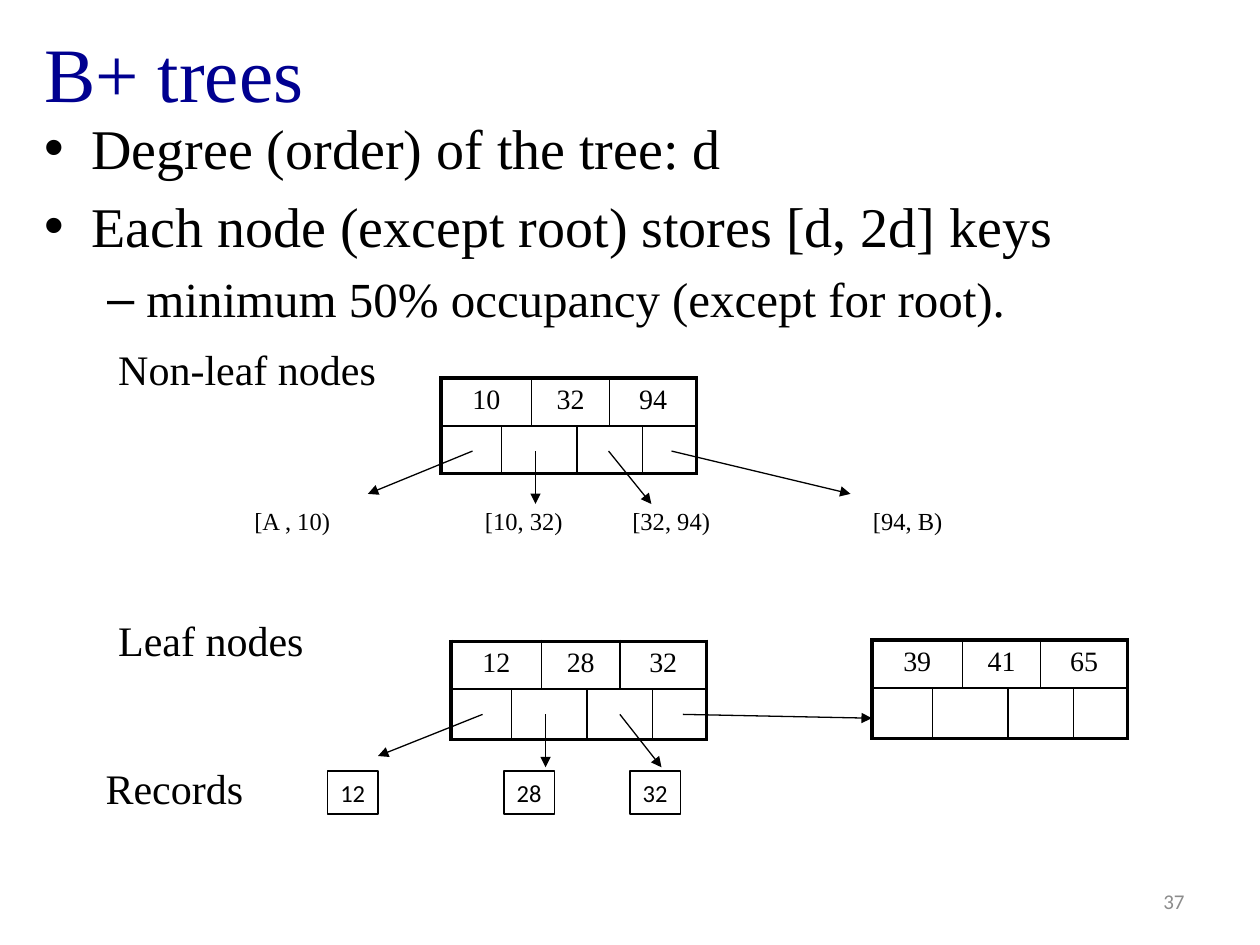
from pptx import Presentation
from pptx.dml.color import RGBColor
from pptx.enum.shapes import MSO_CONNECTOR, MSO_SHAPE
from pptx.enum.text import MSO_ANCHOR, MSO_AUTO_SIZE, PP_ALIGN
from pptx.oxml import parse_xml
from pptx.oxml.ns import nsdecls, qn
from pptx.util import Inches, Pt
from lxml import etree

STRAIGHT, RECTANGLE = MSO_CONNECTOR.STRAIGHT, MSO_SHAPE.RECTANGLE
TOP, MIDDLE = MSO_ANCHOR.TOP, MSO_ANCHOR.MIDDLE
LEFT, CENTER, RIGHT = PP_ALIGN.LEFT, PP_ALIGN.CENTER, PP_ALIGN.RIGHT
NO_AUTOFIT = MSO_AUTO_SIZE.NONE
SERIF, SANS = "Times New Roman", "Calibri"
BLACK, NAVY, GRAY = "000000", "000090", "8C8C8C"
THIN, THICK = 1, 2.25

# Content: lengths in inches, sizes in points
TITLE = "B+ trees"
BULLETS = [  # text, level, size
    ("Degree (order) of the tree: d", 0, 32),
    ("Each node (except root) stores [d, 2d] keys", 0, 32),
    ("minimum 50% occupancy (except for root).", 1, 28),
]
NODES = [  # left, top, pointer row height, keys
    (3.5, 3, 0.38, ("10", "32", "94")),
    (3.58, 5.09, 0.4, ("12", "28", "32")),
    (6.92, 5.08, 0.4, ("39", "41", "65")),
]
COLUMN_WIDTHS = (0.48, 0.21, 0.36, 0.26, 0.26, 0.43)
KEY_ROW_HEIGHT = 0.38
KEY_SPANS = ((0, 1), (2, 3), (4, 5))  # first and last column
POINTER_SPANS = ((0, 0), (1, 2), (3, 4), (5, 5))
ARROWS = [  # start x, start y, end x, end y
    (3.75, 3.58, 2.92, 3.92),
    (4.25, 3.58, 4.25, 4),
    (4.83, 3.58, 5.17, 4),
    (5.33, 3.58, 6.75, 3.92),
    (3.83, 5.67, 3, 6),
    (4.33, 5.67, 4.33, 6.09),
    (4.92, 5.67, 5.25, 6.09),
    (5.42, 5.67, 6.92, 5.7),
]
HEADINGS = [  # text, left, top, width
    ("Non-leaf nodes", 0.84, 2.68, 2.66),
    ("Leaf nodes", 0.84, 4.83, 2.66),
    ("Records", 0.74, 6, 1.86),
]
RANGES = [  # text, left, width
    ("[A , 10)", 1.92, 0.81),
    ("[10, 32)", 3.75, 0.82),
    ("[32, 94)", 4.92, 0.82),
    ("[94, B)", 6.83, 0.76),
]
RECORDS = [("12", 2.6), ("28", 4), ("32", 5)]  # text, left
SLIDE_NUMBER = "37"


def color(value):
    return RGBColor.from_string(value)


def box(left, top, width, height):
    return [Inches(length) for length in (left, top, width, height)]


def place(shape, *lengths):
    shape.left, shape.top, shape.width, shape.height = box(*lengths)


def add_run(paragraph, text, size, font=SERIF, fill=BLACK, align=LEFT):
    paragraph.alignment = align
    run = paragraph.add_run()
    run.text = text
    run.font.size = Pt(size)
    run.font.name = font
    run.font.color.rgb = color(fill)


def add_label(text, lengths, size, wrap=True, anchor=TOP, **style):
    frame = slide.shapes.add_textbox(*box(*lengths)).text_frame
    frame.word_wrap = wrap
    frame.vertical_anchor = anchor
    add_run(frame.paragraphs[0], text, size, **style)


def set_borders(cell, widths):
    properties = cell._tc.get_or_add_tcPr()
    for index, (side, width) in enumerate(zip("LRTB", widths)):
        properties.insert(index, parse_xml(
            f'<a:ln{side} {nsdecls("a")} w="{Pt(width)}"><a:solidFill>'
            f'<a:srgbClr val="{BLACK}"/></a:solidFill></a:ln{side}>'))


def add_node(left, top, pointer_height, keys):
    heights = (KEY_ROW_HEIGHT, pointer_height)
    lengths = box(left, top, sum(COLUMN_WIDTHS), sum(heights))
    table = slide.shapes.add_table(2, len(COLUMN_WIDTHS), *lengths).table
    table.first_row = table.horz_banding = False
    for column, width in zip(table.columns, COLUMN_WIDTHS):
        column.width = Inches(width)
    for row, height in zip(table.rows, heights):
        row.height = Inches(height)
    for row, spans in enumerate((KEY_SPANS, POINTER_SPANS)):
        for first, last in spans:
            widths = (THICK if first == 0 else THIN,
                      THICK if last == len(COLUMN_WIDTHS) - 1 else THIN,
                      THICK if row == 0 else THIN,
                      THICK if row == 1 else THIN)
            for column in range(first, last + 1):
                cell = table.cell(row, column)
                cell.fill.background()
                cell.margin_top = cell.margin_bottom = Inches(0.05 if row == 0 else 0.02)
                set_borders(cell, widths)
            if last > first:
                table.cell(row, first).merge(table.cell(row, last))
    for (first, _), key in zip(KEY_SPANS, keys):
        add_run(table.cell(0, first).text_frame.paragraphs[0], key, 16, align=CENTER)


def add_arrow(*ends):
    arrow = slide.shapes.add_connector(STRAIGHT, *box(*ends))
    arrow.line.color.rgb = color(BLACK)
    arrow.line.width = Pt(0.75)
    etree.SubElement(arrow.line._get_or_add_ln(), qn("a:tailEnd"), type="triangle")
    etree.SubElement(arrow._element.spPr, qn("a:effectLst"))


def add_record(text, left):
    record = slide.shapes.add_shape(RECTANGLE, *box(left, 6.12, 0.4, 0.34))
    record.shadow.inherit = False
    record.fill.background()
    record.line.color.rgb = color(BLACK)
    record.line.width = Pt(0.75)
    frame = record.text_frame
    frame.word_wrap = False
    frame.vertical_anchor = MIDDLE
    add_run(frame.paragraphs[0], text, 14, font=SANS, align=CENTER)


presentation = Presentation()
presentation.slide_width, presentation.slide_height = Inches(10), Inches(7.5)
slide = presentation.slides.add_slide(presentation.slide_layouts[1])

# Title and bullets
title, body = slide.shapes.title, slide.placeholders[1]
place(title, 0.25, 0.05, 9.55, 1.04)
title.text_frame.vertical_anchor = MIDDLE
add_run(title.text_frame.paragraphs[0], TITLE, 44, fill=NAVY)
place(body, 0.25, 0.85, 9.55, 6.51)
body.text_frame.auto_size = NO_AUTOFIT
for index, (text, level, size) in enumerate(BULLETS):
    frame = body.text_frame
    paragraph = frame.add_paragraph() if index else frame.paragraphs[0]
    paragraph.level = level
    add_run(paragraph, text, size)

# Tree nodes, pointers and records
for node in NODES:
    add_node(*node)
for arrow_ends in ARROWS:
    add_arrow(*arrow_ends)
for record_text, record_left in RECORDS:
    add_record(record_text, record_left)

# Labels and slide number
for text, left, top, width in HEADINGS:
    add_label(text, (left, top, width, 0.5), 24)
for text, left, width in RANGES:
    add_label(text, (left, 3.97, width, 0.34), 14, wrap=False)
add_label(SLIDE_NUMBER, (7.17, 6.95, 2.33, 0.4), 12, anchor=MIDDLE,
          font=SANS, fill=GRAY, align=RIGHT)

presentation.save("out.pptx")
